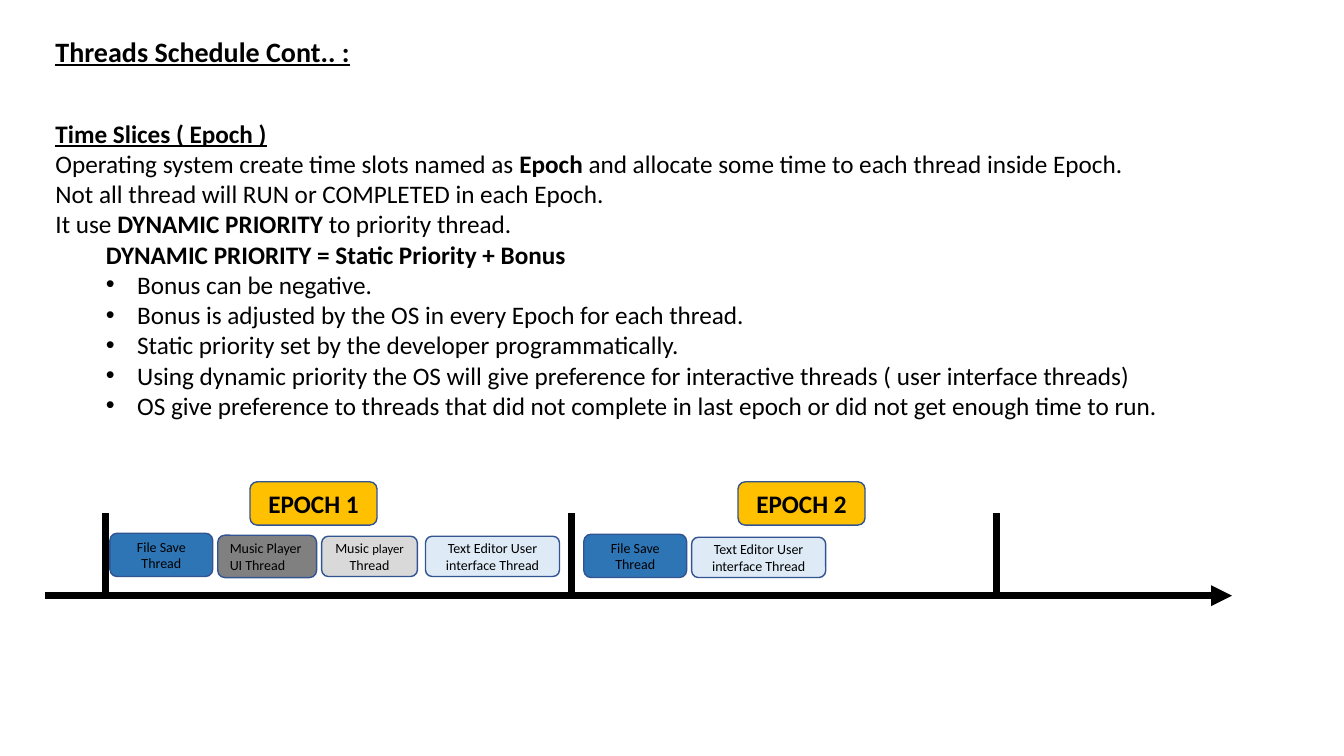
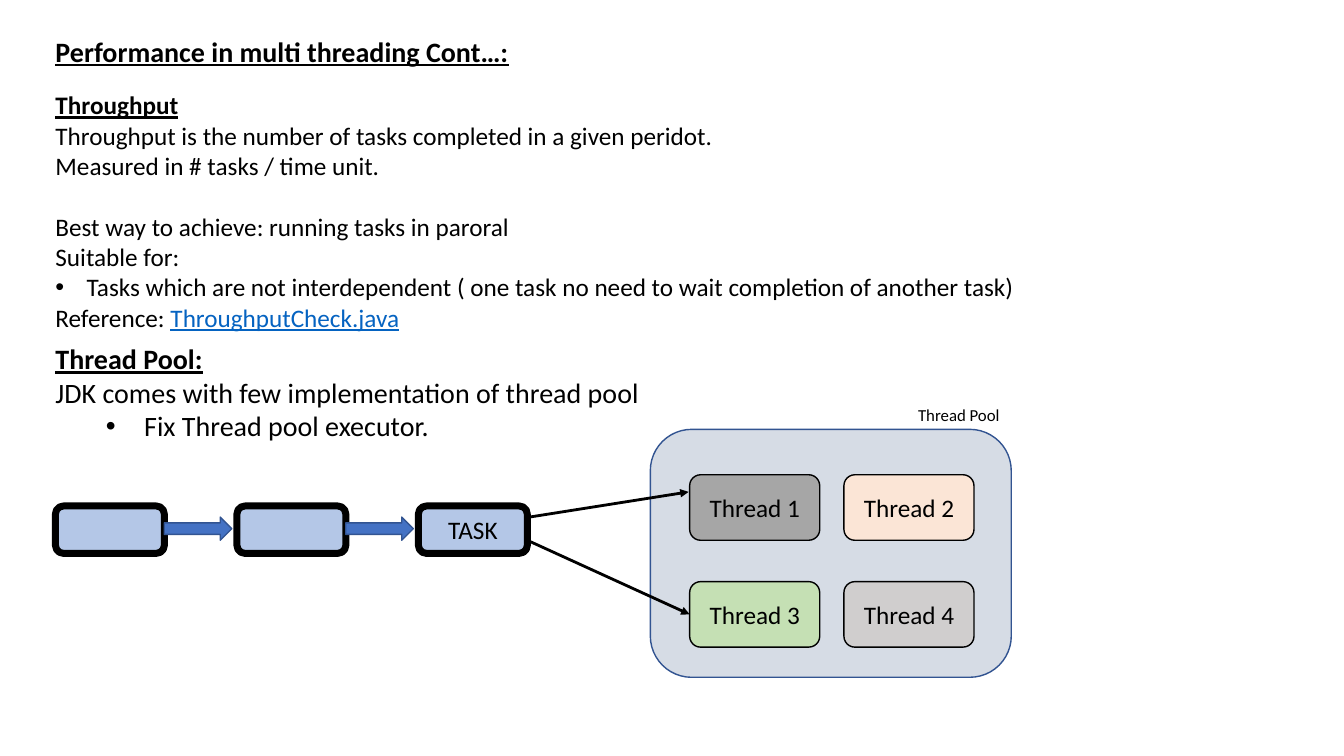
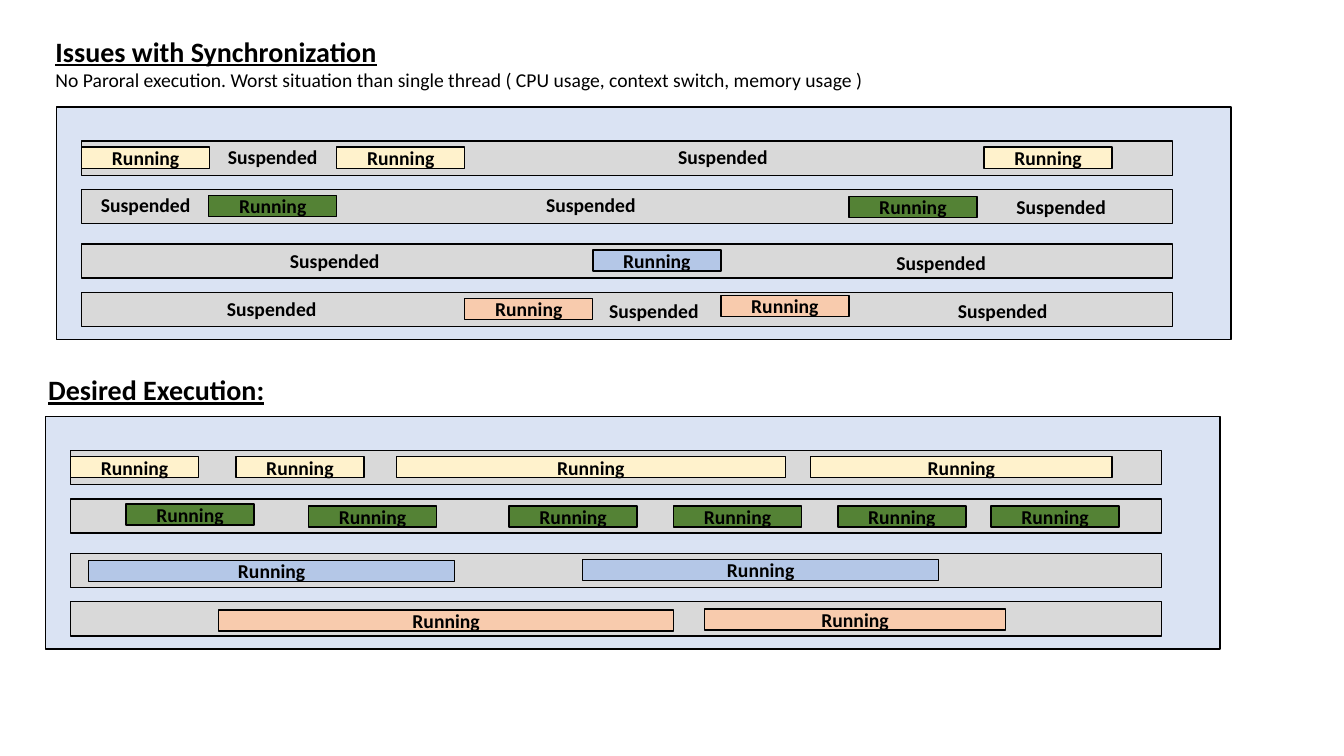
"""Build three slides about thread scheduling, throughput and synchronization."""
from lxml import etree
from pptx import Presentation
from pptx.dml.color import RGBColor
from pptx.enum import shapes, text
from pptx.oxml import ns
from pptx.util import Inches, Pt

FONT = "Calibri"
BLACK = RGBColor(0x00, 0x00, 0x00)
OUTLINE = RGBColor(0x32, 0x54, 0x91)
LINK = RGBColor(0x05, 0x63, 0xC1)
BLUE = RGBColor(0x2E, 0x75, 0xB6)
ARROW_BLUE = RGBColor(0x44, 0x72, 0xC4)
GREY = RGBColor(0x80, 0x80, 0x80)
LIGHT_GREY = RGBColor(0xD9, 0xD9, 0xD9)
ICE = RGBColor(0xDE, 0xEB, 0xF7)
GOLD = RGBColor(0xFF, 0xC0, 0x00)
TASK_BLUE = RGBColor(0xB4, 0xC7, 0xE7)
POOL = RGBColor(0xD6, 0xDC, 0xE5)
PANEL = RGBColor(0xDA, 0xE3, 0xF3)
CREAM = RGBColor(0xFF, 0xF2, 0xCC)
GREEN = RGBColor(0x54, 0x82, 0x35)
PEACH = RGBColor(0xF8, 0xCB, 0xAD)
THREAD_COLORS = [RGBColor(0xA6, 0xA6, 0xA6), RGBColor(0xFB, 0xE5, 0xD6),
                 RGBColor(0xC5, 0xE0, 0xB4), RGBColor(0xD0, 0xCE, 0xCE)]

ROUNDED = shapes.MSO_SHAPE.ROUNDED_RECTANGLE
RECTANGLE = shapes.MSO_SHAPE.RECTANGLE
RIGHT_ARROW = shapes.MSO_SHAPE.RIGHT_ARROW
PROCESS = shapes.MSO_SHAPE.FLOWCHART_ALTERNATE_PROCESS


def write_section(shape, box, rows, size, wrap=False):
    """Place a shape and fill it with a heading and (text, left, hanging) rows."""
    shape.left, shape.top, shape.width, shape.height = map(Inches, box)
    frame = shape.text_frame
    frame.word_wrap = wrap
    frame.auto_size = text.MSO_AUTO_SIZE.SHAPE_TO_FIT_TEXT
    frame.vertical_anchor = text.MSO_ANCHOR.TOP
    for number, (content, left, hanging) in enumerate(rows):
        paragraph = frame.add_paragraph() if number else frame.paragraphs[0]
        paragraph.level = 1 if left >= 0.5 else 0
        properties = paragraph._p.get_or_add_pPr()
        properties.set("marL", str(Inches(left)))
        properties.set("indent", str(Inches(-hanging)))
        if hanging:
            etree.SubElement(properties, ns.qn("a:buFont"), typeface="Arial")
            etree.SubElement(properties, ns.qn("a:buChar"), char="•")
        else:
            etree.SubElement(properties, ns.qn("a:buNone"))
        paragraph.alignment = text.PP_ALIGN.LEFT
        paragraph.space_before = Pt(0)
        for part_number, part in enumerate(content.split("**")):
            if part:
                run = paragraph.add_run()
                run.text = part
                run.font.name, run.font.size = FONT, Pt(size)
                run.font.color.rgb = BLACK
                run.font.bold = number == 0 or part_number % 2 == 1
                run.font.underline = number == 0


def add_box(slide, kind, box, fill=None, line=OUTLINE, width=1, label="", size=18, bold=False):
    """Add a filled shape, or a plain text box when kind is None, with a centred label."""
    place = [Inches(length) for length in box]
    if kind is None:
        shape = slide.shapes.add_textbox(*place)
    else:
        shape = slide.shapes.add_shape(kind, *place)
        shape.shadow.inherit = False
        shape.fill.solid()
        shape.fill.fore_color.rgb = fill
        shape.line.color.rgb = line
        shape.line.width = Pt(width)
    if label:
        frame = shape.text_frame
        frame.text = label
        frame.word_wrap = True
        frame.vertical_anchor = text.MSO_ANCHOR.MIDDLE
        paragraph = frame.paragraphs[0]
        paragraph.alignment = text.PP_ALIGN.CENTER
        for run in paragraph.runs:
            run.font.name, run.font.size, run.font.bold = FONT, Pt(size), bold
            run.font.color.rgb = BLACK
    return shape


presentation = Presentation()
presentation.slide_width, presentation.slide_height = Inches(13.33), Inches(7.5)
layouts = presentation.slide_layouts

schedule = presentation.slides.add_slide(layouts[1])
write_section(schedule.shapes.title, (0.45, 0.29, 3.15, 0.44),
              [("Threads Schedule Cont.. :", 0, 0)], 20)
write_section(schedule.placeholders[1], (0.45, 1.12, 12, 3.43), [
    ("Time Slices ( Epoch )", 0, 0),
    ("Operating system create time slots named as **Epoch** and allocate some time "
     "to each thread inside Epoch.", 0, 0),
    ("Not all thread will RUN or COMPLETED in each Epoch.", 0, 0),
    ("It use **DYNAMIC PRIORITY **to priority thread.", 0, 0),
    ("**DYNAMIC PRIORITY = Static Priority + Bonus**", 0.5, 0),
    ("Bonus can be negative.", 0.81, 0.31),
    ("Bonus is adjusted by the OS in every Epoch for each thread.", 0.81, 0.31),
    ("Static priority set by the developer programmatically.", 0.81, 0.31),
    ("Using dynamic priority the OS will give preference for interactive threads "
     "( user interface threads)", 0.81, 0.31),
    ("OS give preference to threads that did not complete in last epoch "
     "or did not get enough time to run.", 0.81, 0.31),
], 18, wrap=True)

for number, left in enumerate((2.48, 7.32), 1):
    add_box(schedule, ROUNDED, (left, 4.78, 1.26, 0.43), GOLD, label=f"EPOCH {number}", bold=True)

SAVE, PLAYER_UI = "File Save Thread", "Music Player UI Thread"
PLAYER, EDITOR = "Music player Thread", "Text Editor User interface Thread"
for left, top, width, height, fill, label in [
    (1.09, 5.29, 1.02, 0.43, BLUE, SAVE),
    (2.16, 5.31, 0.98, 0.42, GREY, PLAYER_UI),
    (3.19, 5.32, 0.95, 0.4, LIGHT_GREY, PLAYER),
    (4.22, 5.32, 1.33, 0.4, ICE, EDITOR),
    (5.79, 5.3, 1.02, 0.43, BLUE, SAVE),
    (6.86, 5.33, 1.33, 0.4, ICE, EDITOR),
]:
    thread = add_box(schedule, ROUNDED, (left, top, width, height), fill, label=label, size=10)
    paragraph = thread.text_frame.paragraphs[0]
    if label == PLAYER_UI:
        paragraph.alignment = text.PP_ALIGN.LEFT
    if label == PLAYER:
        paragraph.runs[0].text = "Music "
        for part, size in (("player", 9), (" Thread", 10)):
            run = paragraph.add_run()
            run.text = part
            run.font.name, run.font.size = FONT, Pt(size)
            run.font.color.rgb = BLACK

performance = presentation.slides.add_slide(layouts[3])
write_section(performance.shapes.title, (0.45, 0.29, 4.76, 0.44),
              [("Performance in multi threading Cont…:", 0, 0)], 20)
throughput = performance.placeholders[1]
write_section(throughput, (0.45, 0.84, 9.87, 2.52), [
    ("Throughput", 0, 0),
    ("Throughput is the number of tasks completed in a given peridot.", 0, 0),
    ("Measured in # tasks / time unit.", 0, 0),
    ("Best way to achieve: running tasks in paroral", 0, 0),
    ("Suitable for:", 0, 0),
    ("Tasks which are not interdependent ( one task no need to wait completion "
     "of another task)", 0.31, 0.31),
    ("Reference: **ThroughputCheck.java**", 0, 0),
], 18, wrap=True)
throughput.text_frame.paragraphs[3].space_before = Pt(22)
reference = throughput.text_frame.paragraphs[-1].runs[1].font
reference.bold, reference.underline, reference.color.rgb = False, True, LINK
write_section(performance.placeholders[2], (0.45, 3.34, 6.04, 1.11), [
    ("Thread Pool:", 0, 0),
    ("JDK comes with few implementation of thread pool", 0, 0),
    ("Fix Thread pool executor.", 0.88, 0.38),
], 20)

for number, label in enumerate(("", "", "TASK")):
    left = 0.55 + 1.8 * number
    add_box(performance, ROUNDED, (left, 5.02, 1.08, 0.47), TASK_BLUE, BLACK, 5, label)
    if number < 2:
        add_box(performance, RIGHT_ARROW, (left + 1.08, 5.13, 0.67, 0.23), ARROW_BLUE)

add_box(performance, PROCESS, (6.45, 4.26, 3.58, 2.46), POOL)
add_box(performance, None, (9, 3.97, 1.02, 0.3), label="Thread Pool", size=12).text_frame.word_wrap = False
threads = []
for number, fill in enumerate(THREAD_COLORS):
    row, column = divmod(number, 2)
    place = (6.84 + 1.53 * column, 4.71 + 1.06 * row, 1.29, 0.65)
    threads.append(add_box(performance, PROCESS, place, fill, BLACK, label=f"Thread {number + 1}"))

synchronization = presentation.slides.add_slide(layouts[5])
title = synchronization.shapes.title
write_section(title, (0.45, 0.29, 8.29, 0.67), [
    ("Issues with Synchronization", 0, 0),
    ("No Paroral execution. Worst situation than single thread "
     "( CPU usage, context switch, memory usage )", 0, 0),
], 20)
title.text_frame.paragraphs[1].runs[0].font.size = Pt(14)
desired = synchronization.shapes.add_textbox(0, 0, 0, 0)
write_section(desired, (0.38, 3.65, 2.37, 0.44), [("Desired Execution:", 0, 0)], 20)

BAR = 1.27
LANE_OFFSETS = (0.34, 0.82, 1.36, 1.84)
LANE_COLORS = (CREAM, GREEN, TASK_BLUE, PEACH)
issue_running = [
    [(0.81, 1.46, BAR), (3.34, 1.46, BAR), (9.76, 1.46, BAR)],
    [(2.07, 1.94, BAR), (8.42, 1.95, BAR)],
    [(5.88, 2.48, BAR)],
    [(4.61, 2.96, BAR), (7.15, 2.93, BAR)],
]
desired_running = [
    [(0.7, 4.53, BAR), (2.34, 4.53, BAR), (3.93, 4.53, 3.86), (8.04, 4.53, 2.99)],
    [(1.25, 5, BAR)] + [(left, 5.02, BAR) for left in (3.06, 5.05, 6.68, 8.31, 9.83)],
    [(0.88, 5.56, 3.63), (5.78, 5.55, 3.53)],
    [(2.17, 6.05, 4.51), (6.99, 6.04, 2.98)],
]
for left, top, running in [(0.56, 1.06, issue_running), (0.45, 4.13, desired_running)]:
    add_box(synchronization, RECTANGLE, (left, top, 11.65, 2.31), PANEL, BLACK)
    for offset, fill, bars in zip(LANE_OFFSETS, LANE_COLORS, running):
        add_box(synchronization, RECTANGLE, (left + 0.25, top + offset, 10.82, 0.34), LIGHT_GREY, BLACK)
        for bar in bars:
            add_box(synchronization, RECTANGLE, (*bar, 0.21), fill, BLACK,
                    label="Running", size=14, bold=True)

for pause in [
    (2.07, 1.45, BAR), (4.65, 1.45, 5.04),
    (0.81, 1.93, BAR), (3.44, 1.93, 4.84), (9.89, 1.95, BAR),
    (0.88, 2.48, 4.88), (8.7, 2.5, BAR),
    (0.88, 2.96, 3.63), (5.85, 2.98, BAR), (9.31, 2.98, BAR),
]:
    add_box(synchronization, None, (*pause, 0.21), label="Suspended", size=14, bold=True)

epoch_marks = [(schedule, (x, 5.09, x, 5.91), 5, False, None) for x in (1.05, 5.67, 9.88)]
for slide, ends, width, arrow, target in epoch_marks + [
    (schedule, (0.45, 5.91, 12.22, 5.91), 5, True, None),
    (performance, (5.25, 5.13, 6.83, 4.88), 2, True, None),
    (performance, (5.23, 5.36, 6.83, 6.1), 2, True, threads[2]),
]:
    connector = slide.shapes.add_connector(shapes.MSO_CONNECTOR.STRAIGHT, *map(Inches, ends))
    connector.line.color.rgb = BLACK
    connector.line.width = Pt(width)
    if target is not None:
        connector.end_connect(target, 1)
    properties = connector.element.spPr
    if arrow:
        etree.SubElement(properties.find(ns.qn("a:ln")), ns.qn("a:tailEnd"), type="triangle")
    etree.SubElement(properties, ns.qn("a:effectLst"))

presentation.save("out.pptx")
